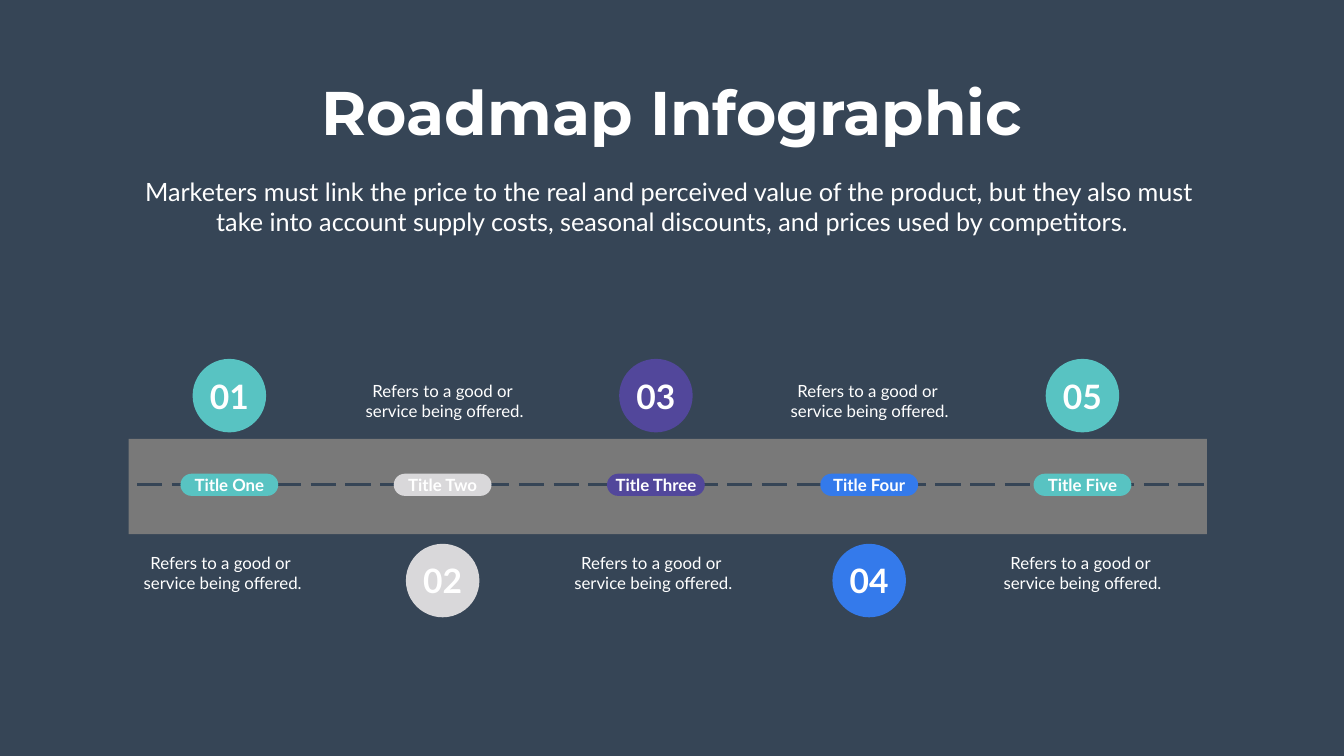
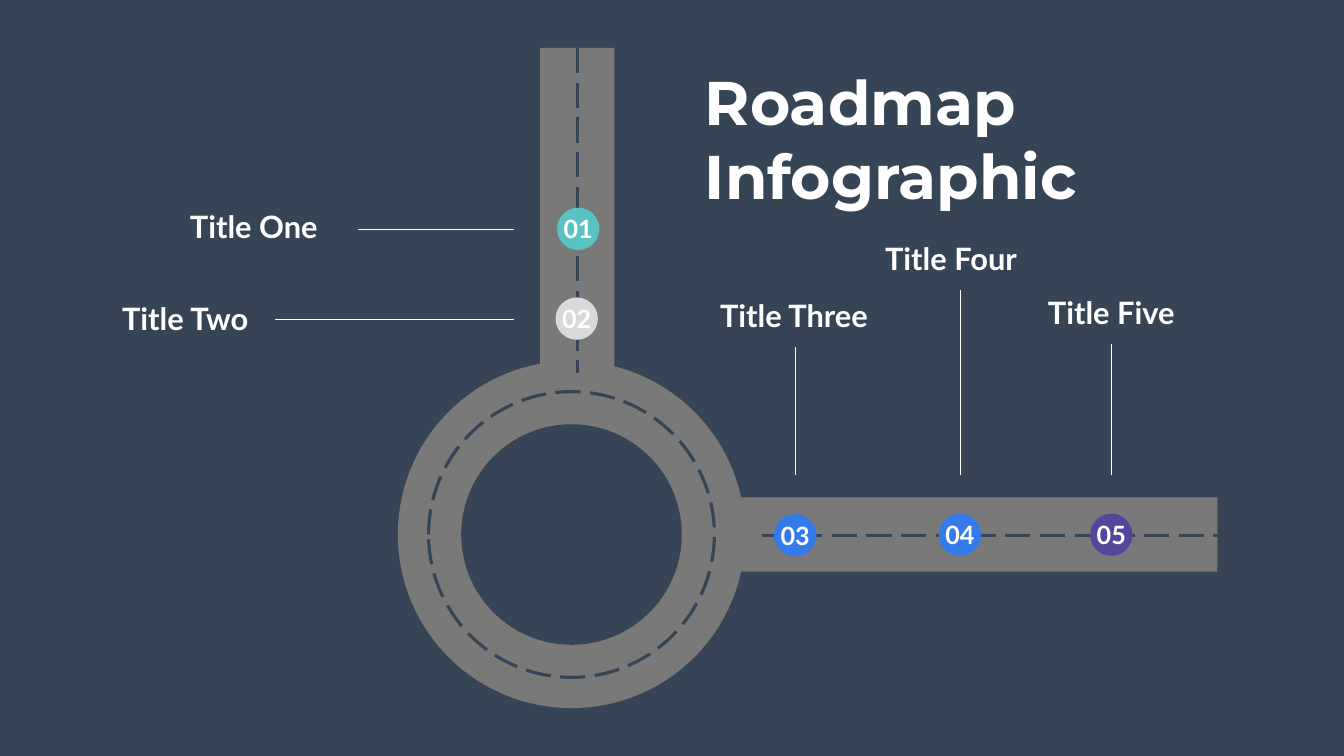
from dataclasses import dataclass

from lxml import etree
from pptx import Presentation
from pptx.dml.color import RGBColor
from pptx.enum import dml, shapes, text
from pptx.oxml import ns
from pptx.util import Pt


@dataclass(frozen=True)
class Theme:
    night: str = "364556"
    road: str = "797979"
    white: str = "FFFFFF"
    teal: str = "58C3C2"
    silver: str = "D9D8DA"
    violet: str = "52479B"
    blue: str = "347AEB"
    heading: str = "Montserrat"
    body: str = "Lato"
    title_size: float = 88
    intro_size: float = 36
    number_size: float = 48
    caption_size: float = 24
    label_size: float = 44
    marker_size: float = 36
    lane_width: float = 4.5
    leader_width: float = 0.88


THEME = Theme()
SLIDE_SIZE = (1919.5, 1080)
CENTER, LEFT = text.PP_ALIGN.CENTER, text.PP_ALIGN.LEFT
OVAL, RECT, PILL = (shapes.MSO_SHAPE.OVAL, shapes.MSO_SHAPE.RECTANGLE,
                    shapes.MSO_SHAPE.ROUNDED_RECTANGLE)

INTRO = [
    "Marketers must link the price to the real and perceived value of the product, but they also must ",
    "take into account supply costs, seasonal discounts, and prices used by competitors.",
]
CAPTION = ["Refers to a good or ", "service being offered."]

# number, title, colour, caption centre
STEPS = [
    ("01", "Title One", THEME.teal, 318),
    ("02", "Title Two", THEME.silver, 635),
    ("03", "Title Three", THEME.violet, 933),
    ("04", "Title Four", THEME.blue, 1242),
    ("05", "Title Five", THEME.teal, 1546),
]

# number, title, colour, marker centre, label centre, leader start
STOPS = [
    ("01", "Title One", THEME.teal, (825.8, 327), (362.5, 323.5), (512, 327)),
    ("02", "Title Two", THEME.silver, (823.7, 455.2), (264.5, 454.3), (392.4, 455.8)),
    ("03", "Title Three", THEME.blue, (1135.8, 764.6), (1134, 450), (1135.8, 496)),
    ("04", "Title Four", THEME.blue, (1371, 763.9), (1358.3, 369.4), (1371, 414.7)),
    ("05", "Title Five", THEME.violet, (1587.2, 763.9), (1587.2, 445.7), (1587.2, 491)),
]
LEADER_END_X, LEADER_END_Y = 734, 679


def rgb(code):
    return RGBColor.from_string(code)


def write(frame, lines, size, font=THEME.body, bold=False, align=CENTER,
          anchor=text.MSO_ANCHOR.MIDDLE, wrap=True, inset=(0, 0)):
    frame.word_wrap = wrap
    frame.auto_size = text.MSO_AUTO_SIZE.NONE
    frame.vertical_anchor = anchor
    frame.margin_left = frame.margin_right = Pt(inset[0])
    frame.margin_top = frame.margin_bottom = Pt(inset[1])
    frame.text = "\n".join(lines)
    for paragraph in frame.paragraphs:
        paragraph.alignment = align
        paragraph.space_before = Pt(0)
        paragraph.font.name = font
        paragraph.font.size = Pt(size)
        paragraph.font.bold = bold
        paragraph.font.color.rgb = rgb(THEME.white)


def fill_placeholder(holder, box, lines, size, **style):
    holder.left, holder.top, holder.width, holder.height = map(Pt, box)
    write(holder.text_frame, lines, size, anchor=text.MSO_ANCHOR.TOP,
          inset=(7.2, 3.6), **style)


def set_title(slide, box, lines, align):
    fill_placeholder(slide.shapes.title, box, lines, THEME.title_size,
                     font=THEME.heading, bold=True, align=align)


def centered(center, width, height):
    """Return left, top, width, height in points around a centre."""
    return center[0] - width / 2, center[1] - height / 2, width, height


def add_solid(slide, kind, box, color):
    solid = slide.shapes.add_shape(kind, *map(Pt, box))
    solid.shadow.inherit = False
    solid.fill.solid()
    solid.fill.fore_color.rgb = rgb(color)
    solid.line.fill.background()
    return solid


def add_badge(slide, kind, box, color, words, size):
    badge = add_solid(slide, kind, box, color)
    if kind == PILL:
        badge.adjustments[0] = 0.5
    write(badge.text_frame, [words], size, bold=True, wrap=False)


def add_words(slide, box, lines, size, **style):
    words = slide.shapes.add_textbox(*map(Pt, box))
    write(words.text_frame, lines, size, **style)


def style_lane(line):
    line.color.rgb = rgb(THEME.night)
    line.width = Pt(THEME.lane_width)
    line.dash_style = dml.MSO_LINE.LONG_DASH


def add_line(slide, start, end):
    connector = slide.shapes.add_connector(
        shapes.MSO_CONNECTOR.STRAIGHT, *map(Pt, (*start, *end)))
    connector.line.color.rgb = rgb(THEME.white)
    connector.line.width = Pt(THEME.leader_width)
    etree.SubElement(connector._element.spPr, ns.qn("a:effectLst"))
    return connector


def add_lane(slide, start, end):
    lane = add_line(slide, start, end)
    style_lane(lane.line)
    return lane


def build_straight_road(prs):
    slide = prs.slides.add_slide(prs.slide_layouts[0])
    set_title(slide, (451.5, 101.5, 1016, 114), ["Roadmap Infographic"], CENTER)
    fill_placeholder(slide.placeholders[1], (95.8, 248.4, 1728, 94.3), INTRO,
                     THEME.intro_size)

    lane_y = 692.6
    add_solid(slide, RECT, (183.6, 627.1, 1540, 136), THEME.road)
    add_lane(slide, (195.8, lane_y), (1736, lane_y))

    first_x, pitch = 327.6, 304.6
    circle_y = (565.2, 829.4)
    caption_y = (572, 818)
    for i, (number, title, color, caption_x) in enumerate(STEPS):
        x = first_x + i * pitch
        side = i % 2
        add_badge(slide, OVAL, centered((x, circle_y[side]), 105, 105), color,
                  number, THEME.number_size)
        add_badge(slide, PILL, centered((x, lane_y), 139.7, 31.7), color,
                  title, THEME.caption_size)
        add_words(slide, centered((caption_x, caption_y[1 - side]), 244.8, 65.5),
                  CAPTION, THEME.caption_size)


def build_roundabout(prs):
    slide = prs.slides.add_slide(prs.slide_layouts[5])
    set_title(slide, (999.4, 87.1, 560, 220.3), ["Roadmap", "Infographic"], LEFT)

    hub = (816.2, 763.6)
    add_solid(slide, OVAL, centered(hub, 496, 496), THEME.road)
    add_solid(slide, OVAL, centered(hub, 315, 315), THEME.night)
    ring_lane = add_solid(slide, OVAL, centered(hub, 408.2, 408.2), THEME.night)
    ring_lane.fill.background()
    style_lane(ring_lane.line)

    add_solid(slide, RECT, (1025.3, 710.6, 713.5, 106), THEME.road)
    north_road = add_solid(slide, RECT, (771.4, 68.4, 106, 480.6), THEME.road)
    north_lane = add_lane(slide, (824.4, 68.4), (824.4, 532.8))
    north_lane.begin_connect(north_road, 0)
    add_lane(slide, (1088.6, 764.8), (1762.6, 764.8))

    for number, title, color, marker, label, start in STOPS:
        on_north_road = marker[0] < hub[0] + 50
        end = (LEADER_END_X, start[1]) if on_north_road else (start[0], LEADER_END_Y)
        add_line(slide, start, end)
        add_badge(slide, OVAL, centered(marker, 60.5, 60.5), color, number,
                  THEME.marker_size)
        add_words(slide, centered(label, 215, 60.5), [title], THEME.label_size,
                  bold=True, wrap=False)


def main():
    prs = Presentation()
    prs.slide_width, prs.slide_height = map(Pt, SLIDE_SIZE)
    backdrop = prs.slide_master.background.fill
    backdrop.solid()
    backdrop.fore_color.rgb = rgb(THEME.night)
    build_straight_road(prs)
    build_roundabout(prs)
    prs.save("out.pptx")


if __name__ == "__main__":
    main()
